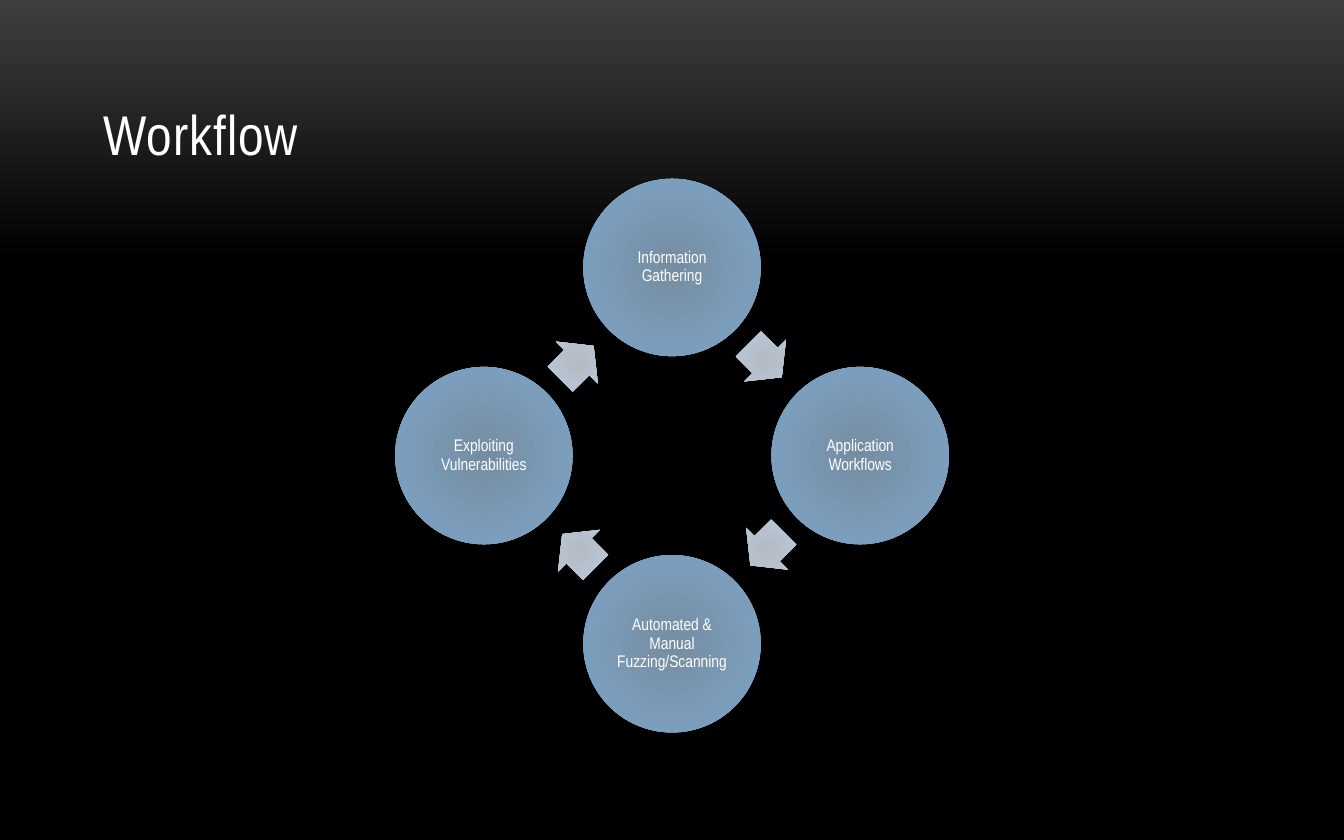
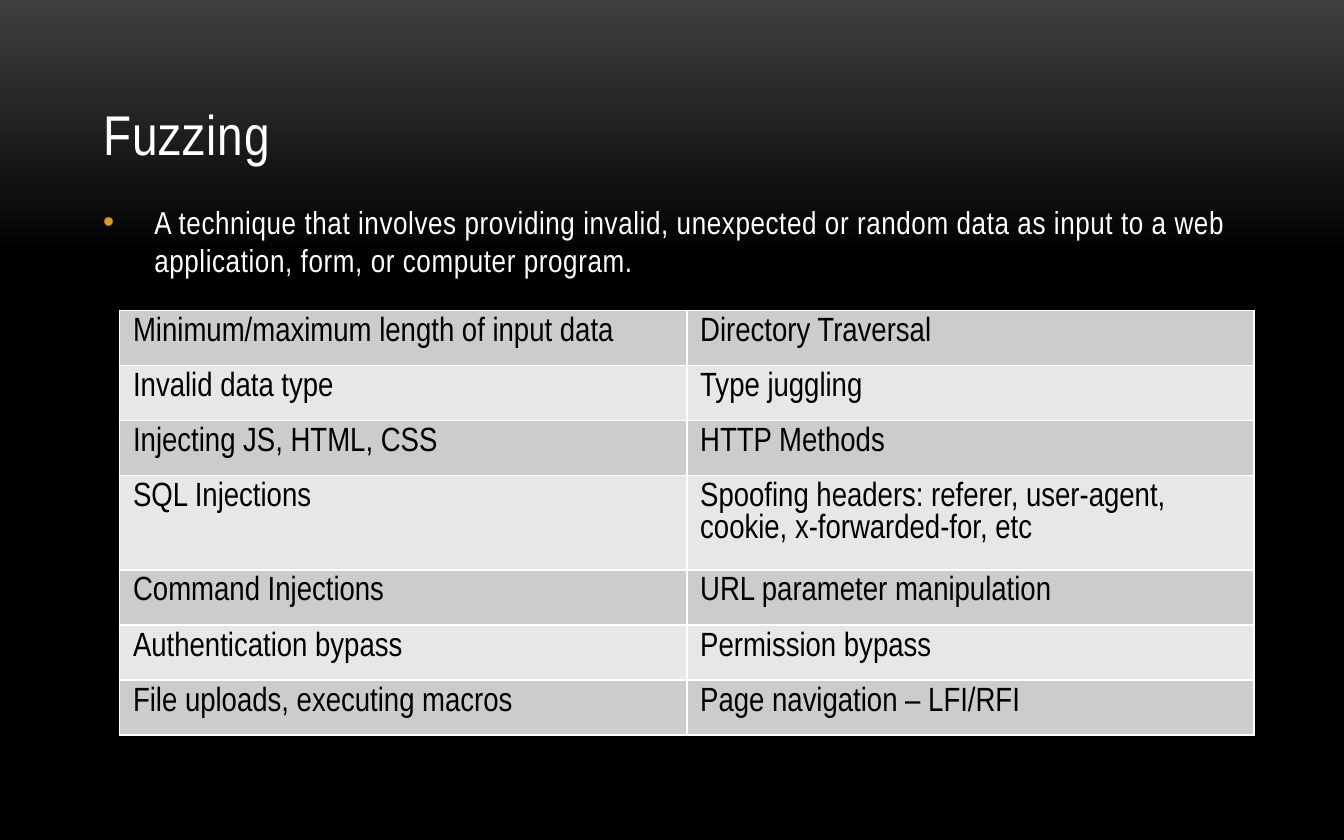
from math import cos, radians, sin

from lxml import etree
from pptx import Presentation
from pptx.dml.color import RGBColor
from pptx.enum.shapes import MSO_SHAPE
from pptx.enum.text import MSO_ANCHOR, PP_ALIGN
from pptx.oxml.ns import qn
from pptx.util import Inches, Pt

OVAL, ARROW = MSO_SHAPE.OVAL, MSO_SHAPE.RIGHT_ARROW
TOP, MIDDLE, BOTTOM = MSO_ANCHOR.TOP, MSO_ANCHOR.MIDDLE, MSO_ANCHOR.BOTTOM
LEFT, CENTER = PP_ALIGN.LEFT, PP_ALIGN.CENTER

FONT = "Arial Narrow"
COLORS = {
    "glow": "3F3F3F", "black": "000000", "white": "FFFFFF", "bullet": "DC9E1F",
    "step_core": "758DA1", "step_rim": "7FA6CA",
    "arrow_core": "B3BBC4", "arrow_rim": "BFCFE0",
    "row_dark": "CCCCCC", "row_light": "E7E7E7",
}
TITLE_ONLY = 5
TITLE_BOX = (0.67, 0.25, 8.67, 1.04)

STEPS = ["Information Gathering", "Application Workflows",
         "Automated & Manual Fuzzing/Scanning", "Exploiting Vulnerabilities"]
DEFINITION = ("A technique that involves providing invalid, unexpected or random data "
              "as input to a web application, form, or computer program.")
TECHNIQUES = [
    ("Minimum/maximum length of input data", "Directory Traversal"),
    ("Invalid data type", "Type juggling"),
    ("Injecting JS, HTML, CSS", "HTTP Methods"),
    ("SQL Injections",
     "Spoofing headers: referer, user-agent, cookie, x-forwarded-for, etc"),
    ("Command Injections", "URL parameter manipulation"),
    ("Authentication bypass", "Permission bypass"),
    ("File uploads, executing macros", "Page navigation – LFI/RFI"),
]


def rgb(name):
    return RGBColor.from_string(COLORS[name])


def add_element(parent, tag, **attributes):
    child = etree.SubElement(parent, qn(tag))
    for key, value in attributes.items():
        child.set(key, str(value))
    return child


def set_gradient(fill, holder, stops, radial=False):
    """Fill with (percent, colour) stops, from the centre out or from the top down."""
    fill.solid()
    solid = holder.find(qn("a:solidFill"))
    gradient = etree.Element(qn("a:gradFill"), rotWithShape="1")
    stop_list = add_element(gradient, "a:gsLst")
    for percent, color in stops:
        stop = add_element(stop_list, "a:gs", pos=percent * 1000)
        add_element(stop, "a:srgbClr", val=COLORS[color])
    if radial:
        shade = add_element(gradient, "a:path", path="circle")
        add_element(shade, "a:fillToRect", l=50000, t=50000, r=50000, b=50000)
    else:
        add_element(gradient, "a:lin", ang=90 * 60000, scaled=0)
    holder.replace(solid, gradient)


def write(para, text, size, color="white", spacing=0):
    span = para.add_run()
    span.text = text
    span.font.name = FONT
    span.font.size = Pt(size)
    span.font.color.rgb = rgb(color)
    if spacing:
        span.font._element.set("spc", str(round(spacing * 100)))


def set_background(master):
    fill = master.background.fill
    holder = master.element.find(".//" + qn("p:bgPr"))
    set_gradient(fill, holder, [(0, "glow"), (31, "black"), (100, "black")])


def add_page(deck, title):
    page = deck.slides.add_slide(deck.slide_layouts[TITLE_ONLY])
    box = page.shapes.title
    box.left, box.top, box.width, box.height = map(Inches, TITLE_BOX)
    box.text_frame.vertical_anchor = BOTTOM
    para = box.text_frame.paragraphs[0]
    para.alignment = LEFT
    write(para, title, 30, spacing=0.5)
    return page


def add_glowing_shape(page, kind, center_x, center_y, width, height, core, rim):
    shape = page.shapes.add_shape(
        kind, Inches(center_x - width / 2), Inches(center_y - height / 2),
        Inches(width), Inches(height))
    shape.shadow.inherit = False
    shape.line.fill.background()
    set_gradient(shape.fill, shape.element.spPr, [(0, core), (100, rim)], radial=True)
    return shape


def add_step(page, center_x, center_y, diameter, label):
    step = add_glowing_shape(page, OVAL, center_x, center_y, diameter, diameter,
                             "step_core", "step_rim")
    frame = step.text_frame
    frame.word_wrap = True
    frame.vertical_anchor = MIDDLE
    frame.margin_left = frame.margin_right = Inches(0.01)
    frame.margin_top = frame.margin_bottom = Inches(0.01)
    para = frame.paragraphs[0]
    para.alignment = CENTER
    para.line_spacing = 0.9
    write(para, label, 9)


def add_cycle(page, left, top, size, labels):
    """Place the steps clockwise from the top, with an arrow after each one."""
    diameter = 1.32
    step_radius, arrow_radius = (size - diameter) / 2, 0.99
    center_x, center_y = left + size / 2, top + size / 2
    turn = 360 / len(labels)
    for index, label in enumerate(labels):
        angle = radians(index * turn - 90)
        add_step(page, center_x + step_radius * cos(angle),
                 center_y + step_radius * sin(angle), diameter, label)
        heading = (index + 0.5) * turn
        angle = radians(heading - 90.6)
        arrow = add_glowing_shape(
            page, ARROW, center_x + arrow_radius * cos(angle),
            center_y + arrow_radius * sin(angle), 0.35, 0.44,
            "arrow_core", "arrow_rim")
        arrow.adjustments[0], arrow.adjustments[1] = 0.6, 0.5
        arrow.rotation = heading


def add_bullet_text(page, left, top, width, height, text):
    box = page.shapes.add_textbox(*map(Inches, (left, top, width, height)))
    box.text_frame.word_wrap = True
    box.text_frame.vertical_anchor = TOP
    para = box.text_frame.paragraphs[0]
    para.space_after = Pt(6)
    properties = para._p.get_or_add_pPr()
    properties.set("marL", str(Inches(0.38)))
    properties.set("indent", str(-Inches(0.38)))
    bullet_color = add_element(properties, "a:buClr")
    add_element(bullet_color, "a:srgbClr", val=COLORS["bullet"])
    add_element(properties, "a:buFont", typeface="Arial")
    add_element(properties, "a:buChar", char="•")
    write(para, text, 17, spacing=0.3)


def set_borders(cell, color, width):
    properties = cell._tc.get_or_add_tcPr()
    for side in ("L", "R", "T", "B"):
        border = add_element(properties, "a:ln" + side, w=Pt(width))
        solid = add_element(border, "a:solidFill")
        add_element(solid, "a:srgbClr", val=COLORS[color])


def add_technique_table(page, left, top, width, row_height, rows):
    frame = page.shapes.add_table(
        len(rows), len(rows[0]), Inches(left), Inches(top),
        Inches(width), Inches(row_height * len(rows)))
    table = frame.table
    table.first_row = table.horz_banding = False
    for row_index, texts in enumerate(rows):
        for column_index, text in enumerate(texts):
            cell = table.cell(row_index, column_index)
            set_borders(cell, "white", 1)
            cell.fill.solid()
            cell.fill.fore_color.rgb = rgb("row_light" if row_index % 2 else "row_dark")
            write(cell.text_frame.paragraphs[0], text, 18, "black")


def build_workflow(deck):
    page = add_page(deck, "Workflow")
    add_cycle(page, 2.94, 1.33, 4.12, STEPS)


def build_fuzzing(deck):
    page = add_page(deck, "Fuzzing")
    add_bullet_text(page, 0.67, 1.46, 8.67, 3.75, DEFINITION)
    add_technique_table(page, 0.89, 2.31, 8.44, 0.41, TECHNIQUES)


def main():
    deck = Presentation()
    deck.slide_width, deck.slide_height = Inches(10), Inches(6.25)
    set_background(deck.slide_master)
    build_workflow(deck)
    build_fuzzing(deck)
    deck.save("out.pptx")


if __name__ == "__main__":
    main()
